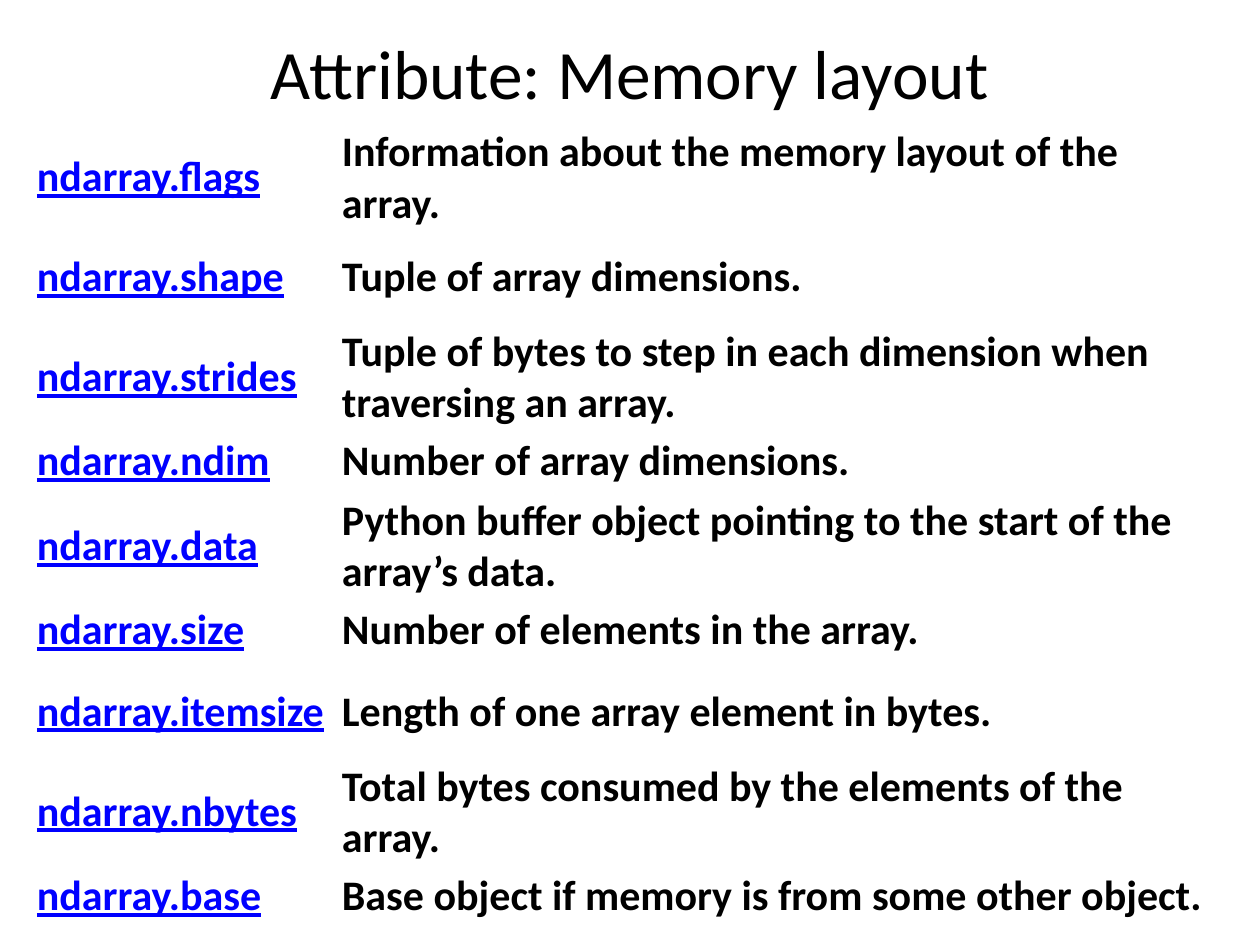
from pptx import Presentation
from pptx.dml.color import RGBColor
from pptx.enum.text import MSO_ANCHOR, PP_ALIGN
from pptx.util import Inches, Pt

PX_PER_INCH = 126
FONT = "Calibri"
BLACK = RGBColor(0x00, 0x00, 0x00)
LINK_BLUE = RGBColor(0x00, 0x00, 0xFF)

TITLE = "Attribute: Memory layout"
SHORT, TALL = 66, 97
ATTRIBUTES = [
    ("ndarray.flags", "Information about the memory layout of the array.", SHORT),
    ("ndarray.shape", "Tuple of array dimensions.", TALL),
    ("ndarray.strides",
     "Tuple of bytes to step in each dimension when traversing an array.", TALL),
    ("ndarray.ndim", "Number of array dimensions.", SHORT),
    ("ndarray.data",
     "Python buffer object pointing to the start of the array’s data.", SHORT),
    ("ndarray.size", "Number of elements in the array.", SHORT),
    ("ndarray.itemsize", "Length of one array element in bytes.", TALL),
    ("ndarray.nbytes", "Total bytes consumed by the elements of the array.", TALL),
    ("ndarray.base", "Base object if memory is from some other object.", SHORT),
]
COLUMN_WIDTHS = (305, 892)
TABLE_LEFT, TABLE_TOP, TABLE_HEIGHT = 32, 126, 803


def px(length):
    return Inches(length / PX_PER_INCH)


def style_run(run, size, color, bold=False, underline=False):
    font = run.font
    font.name, font.size = FONT, Pt(size)
    font.bold, font.underline = bold, underline
    font.color.rgb = color


def add_title(slide):
    box = slide.shapes.add_textbox(px(63), px(38), px(1134), px(67))
    frame = box.text_frame
    frame.word_wrap = True
    frame.vertical_anchor = MSO_ANCHOR.MIDDLE
    frame.text = TITLE
    heading = frame.paragraphs[0]
    heading.alignment = PP_ALIGN.CENTER
    style_run(heading.runs[0], 39.6, BLACK)


def fill_cell(cell, text, is_name):
    cell.fill.background()
    cell.vertical_anchor = MSO_ANCHOR.MIDDLE
    cell.margin_left, cell.margin_right = px(5), px(8)
    cell.margin_top = cell.margin_bottom = px(1)
    cell.text_frame.text = text
    style_run(cell.text_frame.paragraphs[0].runs[0], 24,
              LINK_BLUE if is_name else BLACK, bold=True, underline=is_name)


def add_attribute_table(slide):
    holder = slide.shapes.add_table(
        len(ATTRIBUTES), len(COLUMN_WIDTHS), px(TABLE_LEFT), px(TABLE_TOP),
        px(sum(COLUMN_WIDTHS)), px(TABLE_HEIGHT))
    table = holder.table
    table.first_row = table.horz_banding = False
    for column, width in zip(table.columns, COLUMN_WIDTHS):
        column.width = px(width)
    for row, (name, meaning, height) in zip(table.rows, ATTRIBUTES):
        row.height = px(height)
        fill_cell(row.cells[0], name, is_name=True)
        fill_cell(row.cells[1], meaning, is_name=False)
    holder.height = px(TABLE_HEIGHT)


def main():
    deck = Presentation()
    deck.slide_width, deck.slide_height = Inches(10), Inches(7.5)
    slide = deck.slides.add_slide(deck.slide_layouts[6])
    add_title(slide)
    add_attribute_table(slide)
    deck.save("out.pptx")


if __name__ == "__main__":
    main()
